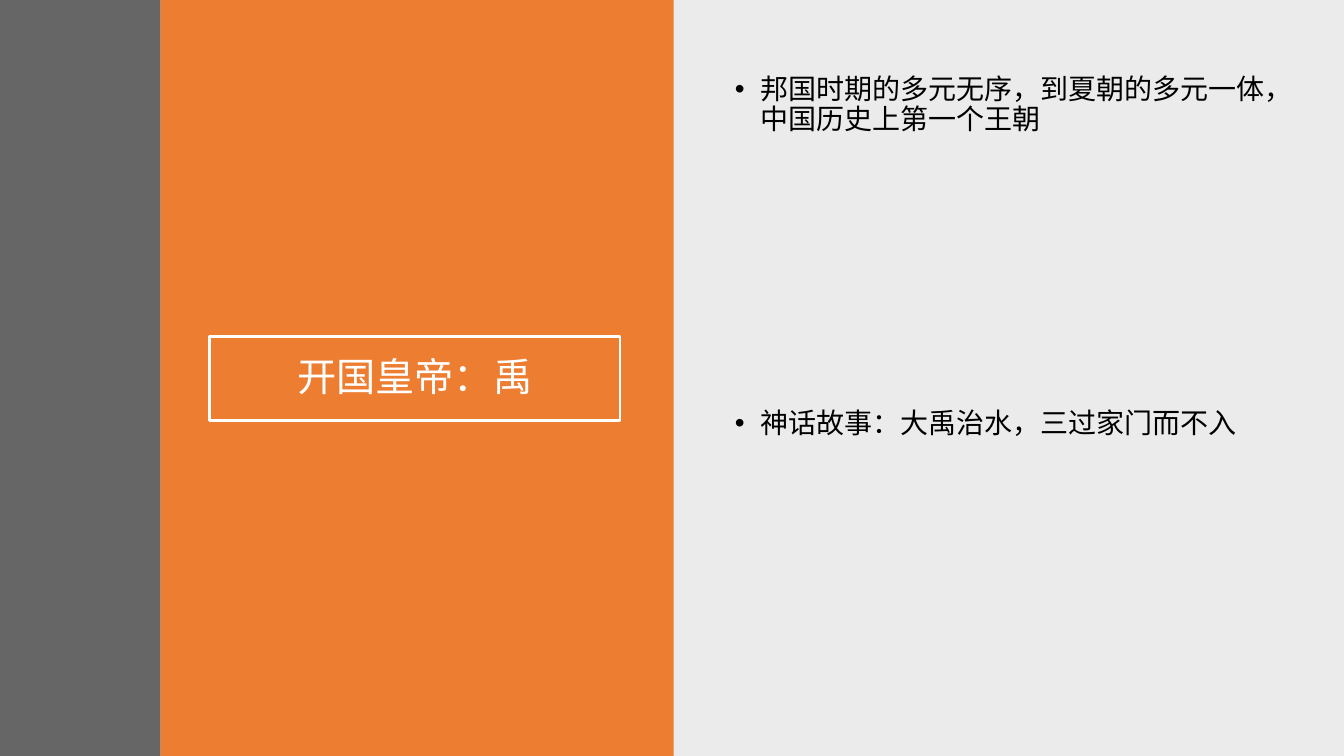
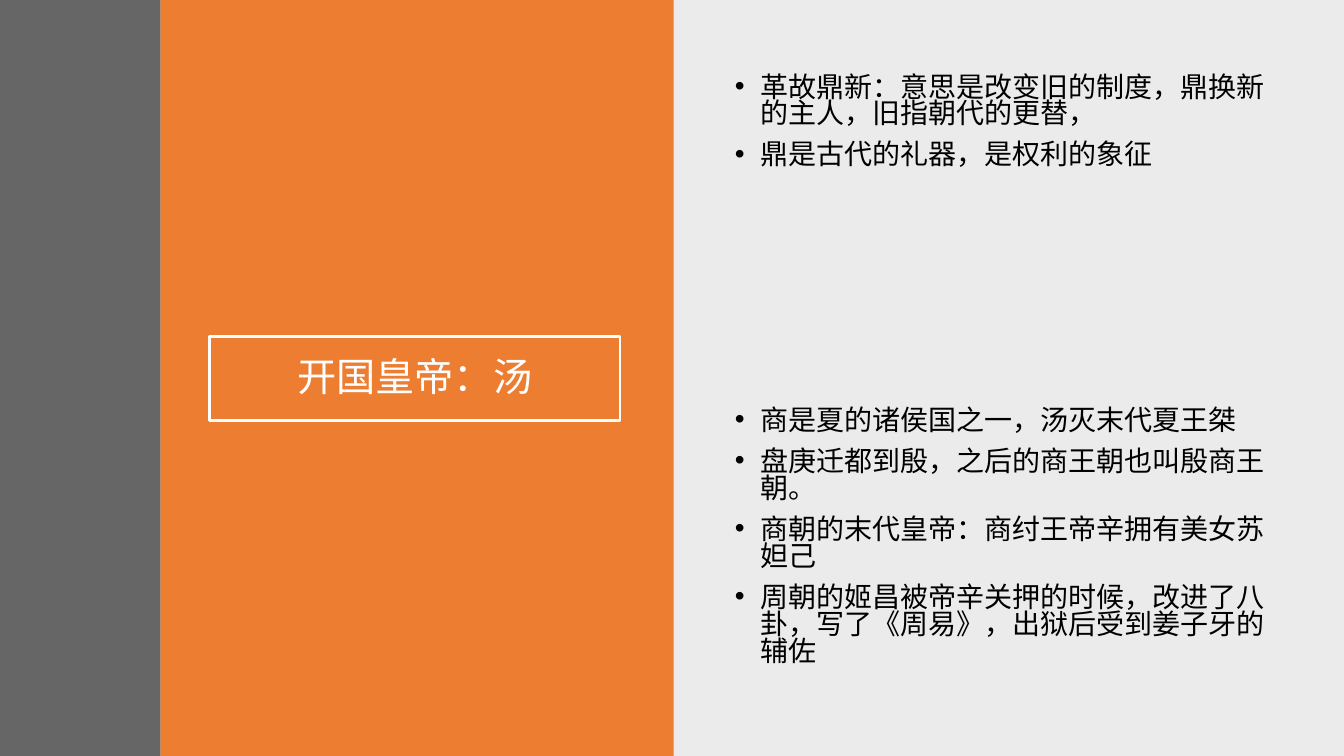
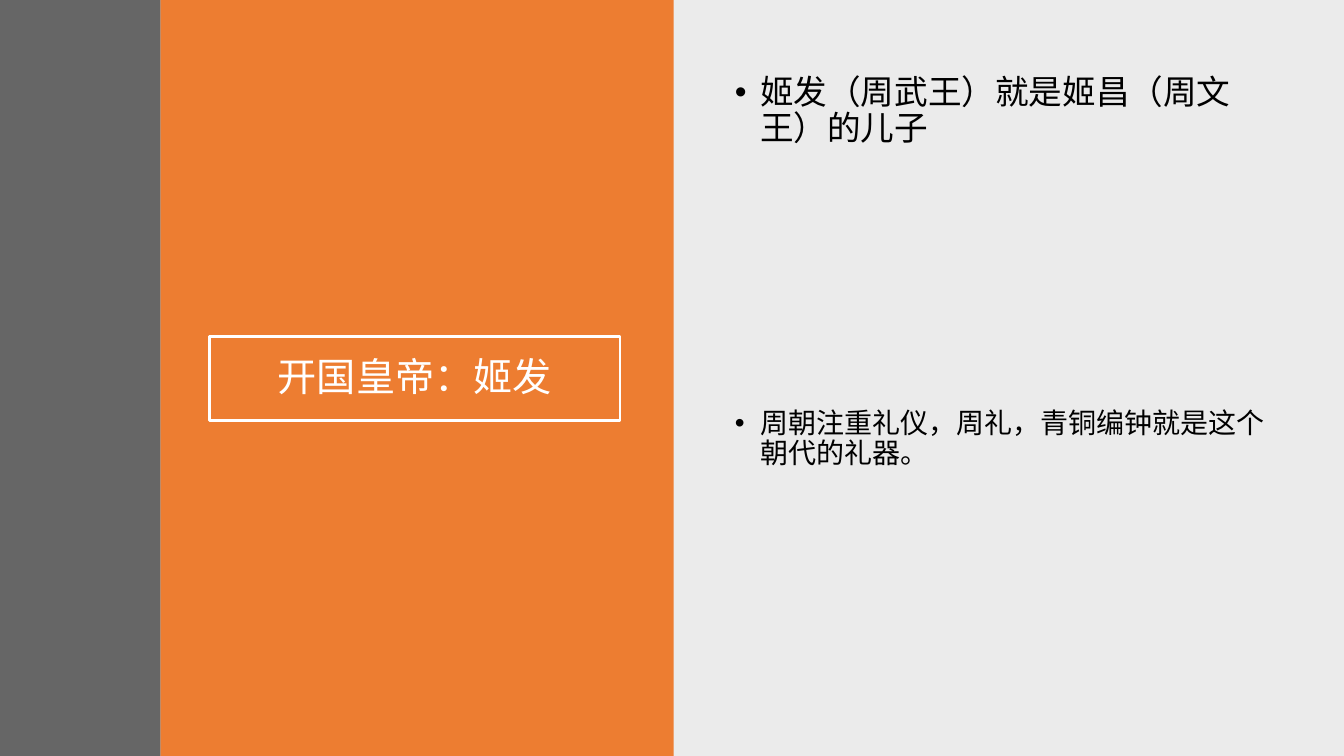
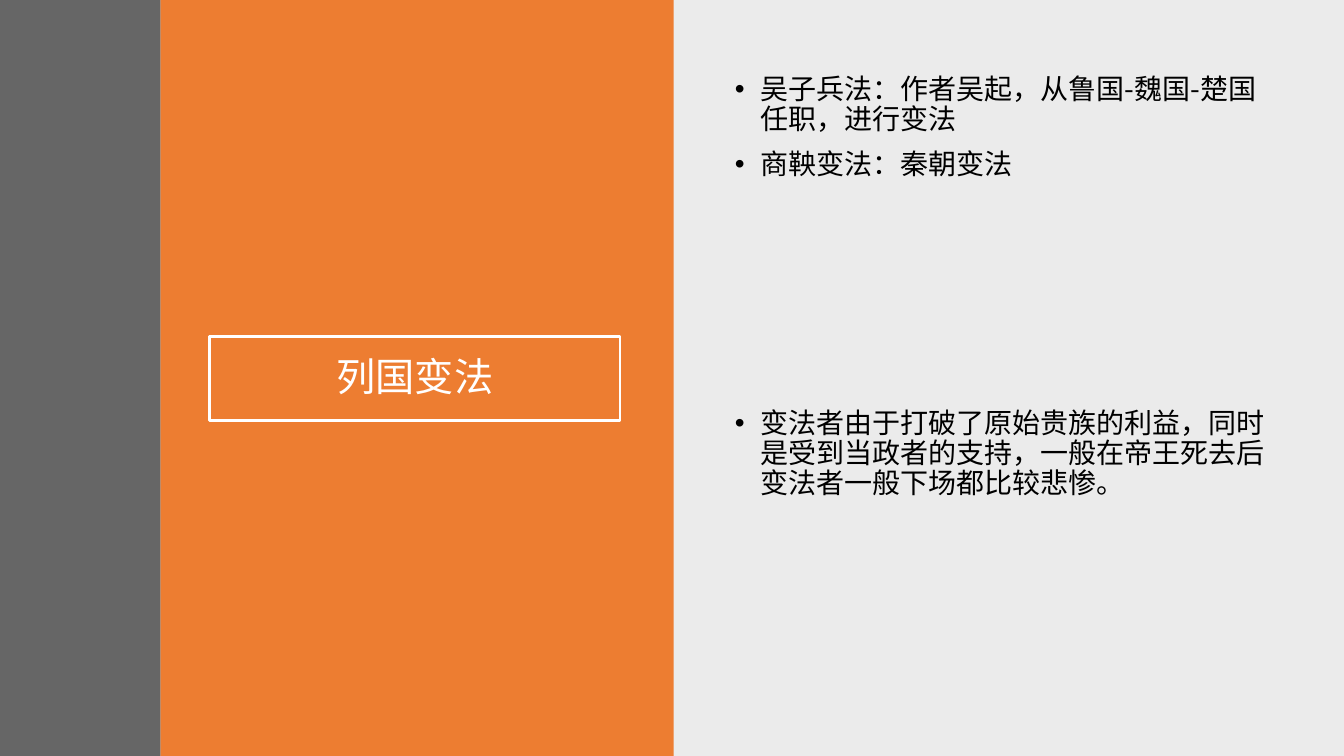
import pptx
import pptx.dml.color
import pptx.enum.shapes
import pptx.enum.text
import pptx.oxml.ns
import pptx.util
from lxml import etree

Inches = pptx.util.Inches
Pt = pptx.util.Pt
qn = pptx.oxml.ns.qn

SLIDES = [
    {"title": "开国皇帝：禹",
     "upper": ["邦国时期的多元无序，到夏朝的多元一体，中国历史上第一个王朝"],
     "lower": ["神话故事：大禹治水，三过家门而不入"]},
    {"title": "开国皇帝：汤",
     "upper": ["革故鼎新：意思是改变旧的制度，鼎换新的主人，旧指朝代的更替，",
               "鼎是古代的礼器，是权利的象征"],
     "lower": ["商是夏的诸侯国之一，汤灭末代夏王桀",
               "盘庚迁都到殷，之后的商王朝也叫殷商王朝。",
               "商朝的末代皇帝：商纣王帝辛拥有美女苏妲己",
               "周朝的姬昌被帝辛关押的时候，改进了八卦，写了《周易》，出狱后受到姜子牙的辅佐"],
     "spacing": 0.8},
    {"title": "开国皇帝：姬发",
     "upper": ["姬发（周武王）就是姬昌（周文王）的儿子"],
     "lower": ["周朝注重礼仪，周礼，青铜编钟就是这个朝代的礼器。"],
     "upper_size": 24},
    {"title": "列国变法",
     "upper": ["吴子兵法：作者吴起，从鲁国-魏国-楚国任职，进行变法", "商鞅变法：秦朝变法"],
     "lower": ["变法者由于打破了原始贵族的利益，同时是受到当政者的支持，一般在帝王死去后变法者一般下场都比较悲惨。"]},
]


def rgb(value):
    return pptx.dml.color.RGBColor.from_string(value)


def add_text(p, text, size=20, color="000000", font="Noto Sans CJK SC",
             align=None, spacing=0.9, before=0, bullet=False):
    if bullet:
        pPr = p._p.get_or_add_pPr()
        pPr.set("marL", str(Inches(0.25)))
        pPr.set("indent", str(Inches(-0.25)))
        etree.SubElement(pPr, qn("a:buFont"), typeface="Arial")
        etree.SubElement(pPr, qn("a:buChar"), char="•")
    p.alignment = align
    p.line_spacing = spacing
    p.space_before = Pt(before)
    r = p.add_run()
    r.text = text
    r.font.size = Pt(size)
    r.font.color.rgb = rgb(color)
    r.font.name = font
    etree.SubElement(r._r.get_or_add_rPr(), qn("a:ea"), typeface=font)


class Deck:
    WIDTH, HEIGHT = 13.33, 7.5
    GRAY, ORANGE, BLACK, WHITE = "404040", "ED7D31", "000000", "FFFFFF"
    STRIP_RIGHT, PANEL_LEFT = 1.59, 6.67
    BODY_LEFT, BODY_WIDTH, BODY_HEIGHT = 7.19, 5.53, 2.79
    UPPER_TOP, LOWER_TOP = 0.7, 4.01

    def __init__(self):
        self.prs = pptx.Presentation()
        self.prs.slide_width = Inches(self.WIDTH)
        self.prs.slide_height = Inches(self.HEIGHT)
        self.s = None

    def new_slide(self):
        self.s = self.prs.slides.add_slide(self.prs.slide_layouts[6])

    def rect(self, left, top, width, height):
        sp = self.s.shapes.add_shape(
            pptx.enum.shapes.MSO_SHAPE.RECTANGLE,
            Inches(left), Inches(top), Inches(width), Inches(height))
        sp.shadow.inherit = False
        return sp

    def band(self, left, right, color, opacity=100):
        sp = self.rect(left, 0, right - left, self.HEIGHT)
        sp.fill.solid()
        sp.fill.fore_color.rgb = rgb(color)
        sp.line.fill.background()
        if opacity < 100:
            clr = sp._element.spPr.find(qn("a:solidFill")).find(qn("a:srgbClr"))
            etree.SubElement(clr, qn("a:alpha"), val=str(opacity * 1000))

    def title(self, text):
        sp = self.rect(2.08, 3.34, 4.07, 0.83)
        sp.fill.background()
        sp.line.color.rgb = rgb(self.WHITE)
        sp.line.width = Pt(2)
        tf = sp.text_frame
        tf.word_wrap = True
        tf.vertical_anchor = pptx.enum.text.MSO_ANCHOR.MIDDLE
        add_text(tf.paragraphs[0], text, size=28, color=self.WHITE,
                 align=pptx.enum.text.PP_ALIGN.CENTER)

    def bullets(self, top, items, size, spacing):
        sp = self.s.shapes.add_textbox(
            Inches(self.BODY_LEFT), Inches(top),
            Inches(self.BODY_WIDTH), Inches(self.BODY_HEIGHT))
        tf = sp.text_frame
        tf.word_wrap = True
        for i, item in enumerate(items):
            p = tf.add_paragraph() if i else tf.paragraphs[0]
            add_text(p, item, size=size, spacing=spacing,
                     before=10 if i else 0, bullet=True)

    def topic(self, title, upper, lower, upper_size=20, spacing=0.9):
        self.new_slide()
        self.band(self.PANEL_LEFT, self.WIDTH, self.BLACK, opacity=8)
        self.band(self.STRIP_RIGHT, self.PANEL_LEFT + 0.01, self.ORANGE)
        self.title(title)
        self.band(0, self.STRIP_RIGHT, self.GRAY, opacity=80)
        self.bullets(self.UPPER_TOP, upper, upper_size, spacing)
        self.bullets(self.LOWER_TOP, lower, 20, spacing)


def main():
    deck = Deck()
    for content in SLIDES:
        deck.topic(**content)
    deck.prs.save("out.pptx")


if __name__ == "__main__":
    main()
